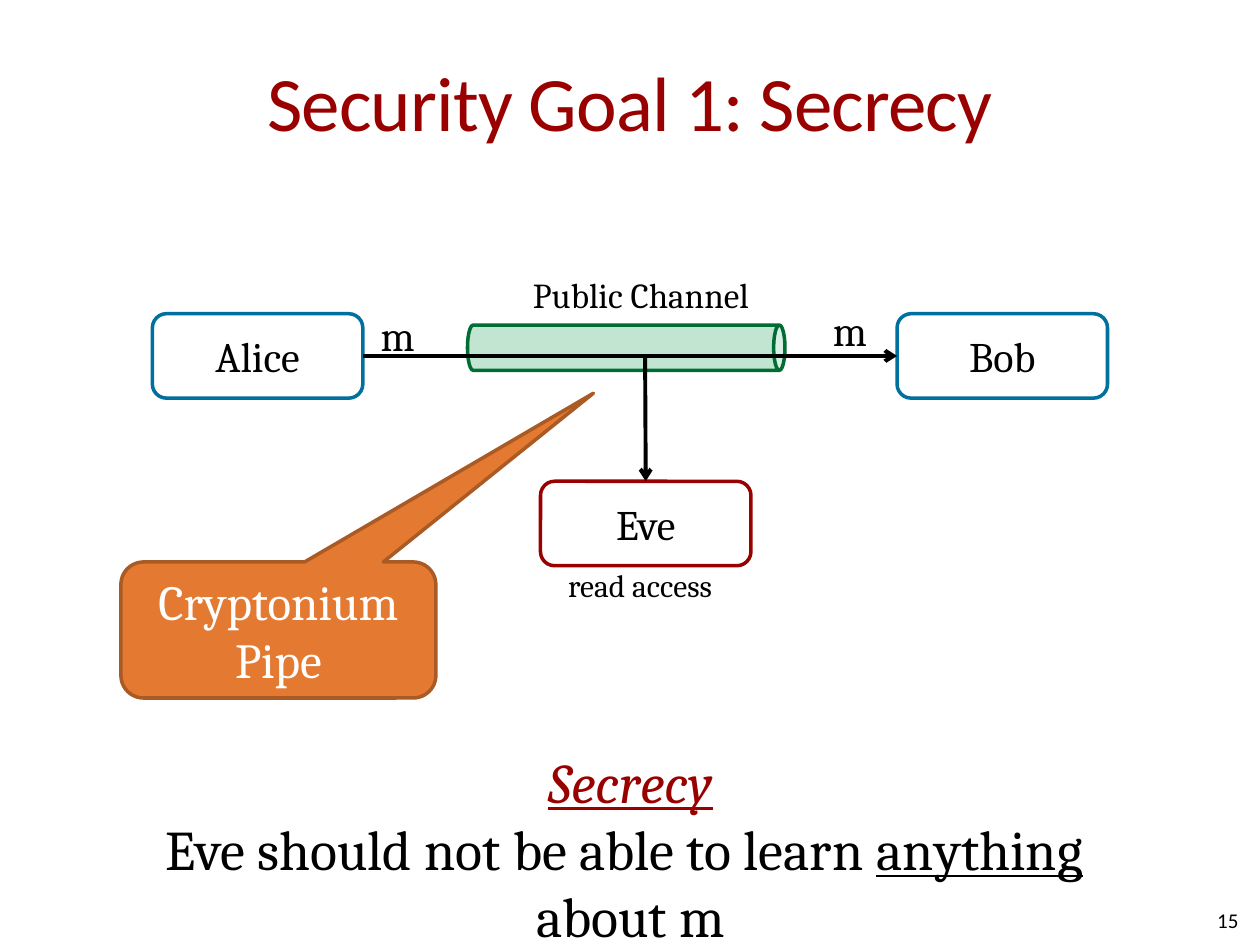
from dataclasses import dataclass

from lxml.etree import SubElement
from pptx import Presentation
from pptx.dml.color import RGBColor
from pptx.enum.shapes import MSO_CONNECTOR, MSO_SHAPE
from pptx.enum.text import MSO_ANCHOR, MSO_AUTO_SIZE, PP_ALIGN
from pptx.oxml.ns import qn
from pptx.util import Inches, Pt


@dataclass(frozen=True)
class Theme:
    heading_font: str = "Calibri"
    body_font: str = "Cambria"
    black: str = "000000"
    white: str = "FFFFFF"
    red: str = "990000"
    blue: str = "00709E"
    green: str = "009446"
    dark_green: str = "006D34"
    orange: str = "E47932"
    dark_orange: str = "A95A25"
    title_size: float = 44
    statement_size: float = 32
    callout_size: float = 28
    label_size: float = 24
    channel_size: float = 20
    note_size: float = 18
    number_size: float = 12
    outline: float = 2
    arrow: float = 2.25


THEME = Theme()
PARTY_WIDTH, PARTY_HEIGHT = 1.67, 0.67


def style_font(font, size, color=THEME.black, name=THEME.body_font):
    font.name = name
    font.size = Pt(size)
    font.color.rgb = RGBColor.from_string(color)


def write_text(shape, text, size, color=THEME.black, name=THEME.body_font,
               align=PP_ALIGN.CENTER):
    paragraph = shape.text_frame.paragraphs[0]
    paragraph.text = text
    paragraph.alignment = align
    style_font(paragraph.font, size, color, name)
    return paragraph


def clear_margins(frame):
    frame.margin_left = frame.margin_right = 0
    frame.margin_top = frame.margin_bottom = 0


def add_text_box(slide, left, top, width, height):
    box = slide.shapes.add_textbox(*map(Inches, (left, top, width, height)))
    clear_margins(box.text_frame)
    return box


def add_label(slide, text, left, top, width, height, size):
    box = add_text_box(slide, left, top, width, height)
    box.text_frame.word_wrap = False
    box.text_frame.auto_size = MSO_AUTO_SIZE.SHAPE_TO_FIT_TEXT
    write_text(box, text, size, align=PP_ALIGN.LEFT)


def add_box(slide, kind, left, top, width, height, fill, line):
    shape = slide.shapes.add_shape(kind, *map(Inches, (left, top, width, height)))
    shape.shadow.inherit = False
    shape.fill.solid()
    shape.fill.fore_color.rgb = RGBColor.from_string(fill)
    shape.line.color.rgb = RGBColor.from_string(line)
    shape.line.width = Pt(THEME.outline)
    shape.text_frame.vertical_anchor = MSO_ANCHOR.MIDDLE
    return shape


def add_party(slide, name, left, top, line):
    party = add_box(slide, MSO_SHAPE.ROUNDED_RECTANGLE, left, top,
                    PARTY_WIDTH, PARTY_HEIGHT, THEME.white, line)
    clear_margins(party.text_frame)
    write_text(party, name, THEME.label_size)
    return party


def add_arrow(slide, start, end):
    arrow = slide.shapes.add_connector(MSO_CONNECTOR.STRAIGHT, *map(Inches, start + end))
    arrow.line.color.rgb = RGBColor.from_string(THEME.black)
    arrow.line.width = Pt(THEME.arrow)
    SubElement(arrow.line._get_or_add_ln(), qn("a:tailEnd"), type="arrow")
    SubElement(arrow._element.spPr, qn("a:effectLst"))
    return arrow


def add_title(slide, text):
    title = add_text_box(slide, 0.5, 0.17, 9, 1.25)
    title.text_frame.word_wrap = True
    title.text_frame.vertical_anchor = MSO_ANCHOR.MIDDLE
    paragraph = write_text(title, text, THEME.title_size, THEME.red, THEME.heading_font)
    paragraph.runs[0].font._element.set("spc", "-50")


def add_slide_number(slide, number):
    box = add_text_box(slide, 7.5, 7.1, 2.33, 0.4)
    box.text_frame.vertical_anchor = MSO_ANCHOR.MIDDLE
    write_text(box, number, THEME.number_size, name=THEME.heading_font,
               align=PP_ALIGN.RIGHT)


def add_callout(slide, text):
    callout = add_box(slide, MSO_SHAPE.ROUNDED_RECTANGULAR_CALLOUT, 0.96, 4.46,
                      2.5, 1.08, THEME.orange, THEME.dark_orange)
    callout.adjustments[0] = 1.0
    callout.adjustments[1] = -1.74
    write_text(callout, text, THEME.callout_size, THEME.white)


def add_channel(slide):
    pipe = add_box(slide, MSO_SHAPE.CAN, 4.79, 1.5, 0.36, 2.52,
                   THEME.green, THEME.dark_green)
    pipe.rotation = 90
    color = pipe._element.spPr.find(qn("a:solidFill")).find(qn("a:srgbClr"))
    SubElement(color, qn("a:alpha"), val="24000")
    add_label(slide, "Public Channel", 4.23, 2.17, 1.78, 0.34, THEME.channel_size)


def add_statement(slide):
    box = add_text_box(slide, 1.16, 5.93, 7.69, 1.62)
    frame = box.text_frame
    frame.word_wrap = False
    frame.auto_size = MSO_AUTO_SIZE.SHAPE_TO_FIT_TEXT
    heading = write_text(box, "Secrecy", THEME.statement_size, THEME.red)
    heading.font.italic = True
    heading.font.underline = True
    sentence = frame.add_paragraph()
    sentence.alignment = PP_ALIGN.CENTER
    style_font(sentence.font, THEME.statement_size)
    sentence.add_run().text = "Eve should not be able to learn "
    emphasis = sentence.add_run()
    emphasis.text = "anything"
    emphasis.font.underline = True
    sentence.add_run().text = " "
    sentence.add_line_break()
    sentence.add_run().text = "about m"


def main():
    presentation = Presentation()
    presentation.slide_width = Inches(10)
    presentation.slide_height = Inches(7.5)
    slide = presentation.slides.add_slide(presentation.slide_layouts[6])

    add_callout(slide, "Cryptonium\vPipe")
    add_title(slide, "Security Goal 1: Secrecy")
    add_slide_number(slide, "15")
    add_channel(slide)

    alice = add_party(slide, "Alice", 1.21, 2.49, THEME.blue)
    bob = add_party(slide, "Bob", 7.12, 2.49, THEME.blue)
    eve = add_party(slide, "Eve", 4.29, 3.82, THEME.red)
    message = add_arrow(slide, (2.88, 2.82), (7.12, 2.82))
    message.begin_connect(alice, 3)
    message.end_connect(bob, 1)
    tap = add_arrow(slide, (5.12, 2.82), (5.12, 3.82))
    tap.end_connect(eve, 0)

    for left, top in ((3.02, 2.46), (6.61, 2.42)):
        add_label(slide, "m", left, top, 0.28, 0.4, THEME.label_size)
    add_label(slide, "read access", 4.51, 4.49, 1.23, 0.3, THEME.note_size)
    add_statement(slide)
    presentation.save("out.pptx")


if __name__ == "__main__":
    main()
